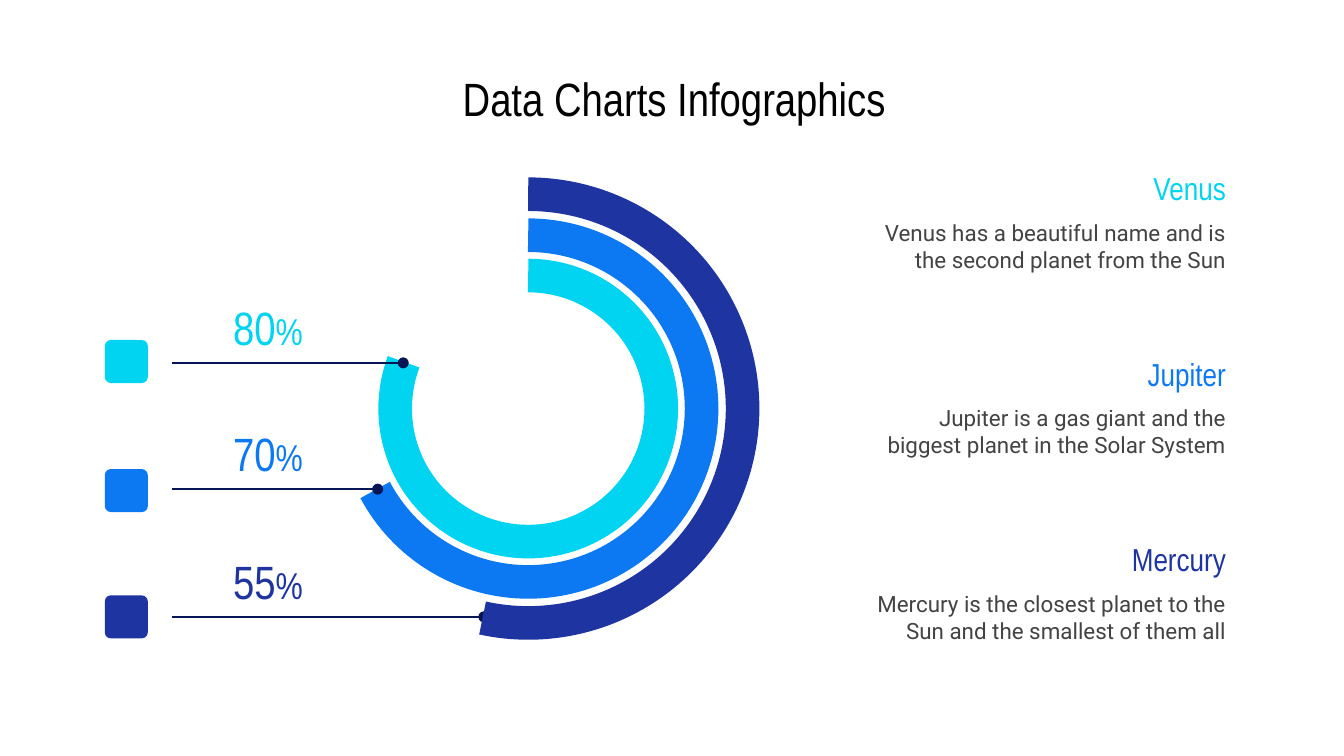
import pptx
import pptx.util
import pptx.dml.color
import pptx.enum.shapes
import pptx.enum.text
import pptx.oxml.ns
import lxml.etree

Inches = pptx.util.Inches
Pt = pptx.util.Pt
RGBColor = pptx.dml.color.RGBColor
MSO_SHAPE = pptx.enum.shapes.MSO_SHAPE
PP_ALIGN = pptx.enum.text.PP_ALIGN
qn = pptx.oxml.ns.qn

CYAN = RGBColor(0x00, 0xD4, 0xF0)
BLUE = RGBColor(0x0C, 0x79, 0xF3)
INDIGO = RGBColor(0x1E, 0x35, 0xA1)
NAVY = RGBColor(0x07, 0x15, 0x54)
GRAY = RGBColor(0x43, 0x43, 0x43)
BLACK = RGBColor(0x00, 0x00, 0x00)

presentation = pptx.Presentation()
presentation.slide_width = Inches(10)
presentation.slide_height = Inches(10 * 9 / 16)
slide = presentation.slides.add_slide(presentation.slide_layouts[6])


def add_text(text, left, top, width, height, size, color,
             font="Arial Narrow", align=PP_ALIGN.CENTER, unit="", unit_size=20):
    box = slide.shapes.add_textbox(Inches(left), Inches(top), Inches(width), Inches(height))
    frame = box.text_frame
    frame.word_wrap = True
    frame.vertical_anchor = pptx.enum.text.MSO_ANCHOR.MIDDLE
    frame.margin_left = frame.margin_right = Inches(0.1)
    frame.margin_top = frame.margin_bottom = Inches(0.1)
    paragraph = frame.paragraphs[0]
    paragraph.alignment = align
    for part, part_size in ((text, size), (unit, unit_size)):
        if part:
            run = paragraph.add_run()
            run.text = part
            run.font.name = font
            run.font.size = Pt(part_size)
            run.font.color.rgb = color


def add_leader(end, y):
    leader = slide.shapes.add_connector(
        pptx.enum.shapes.MSO_CONNECTOR.STRAIGHT,
        Inches(1.28), Inches(y), Inches(end), Inches(y))
    leader.line.color.rgb = NAVY
    leader.line.width = Pt(0.75)
    properties = leader.element.spPr
    lxml.etree.SubElement(properties.find(qn("a:ln")), qn("a:tailEnd"), type="oval")
    lxml.etree.SubElement(properties, qn("a:effectLst"))


CENTER_X, CENTER_Y = 3.93, 3.04
rings = [
    ("55", INDIGO, 3.19, 61.37, 4.59, 3.6, 4.43, True),
    ("70", BLUE, 2.58, 91.19, 3.64, 2.81, 3.49, False),
    ("80", CYAN, 1.98, 120.34, 2.7, 3, 2.53, False),
]
for percent, color, diameter, end_angle, leader_y, leader_end, icon_top, leader_behind in rings:
    if leader_behind:
        add_leader(leader_end, leader_y)
    ring = slide.shapes.add_shape(
        MSO_SHAPE.ARC, Inches(CENTER_X - diameter / 2), Inches(CENTER_Y - diameter / 2),
        Inches(diameter), Inches(diameter))
    ring.adjustments[0] = 162
    ring.adjustments[1] = end_angle
    ring.shadow.inherit = False
    ring.fill.background()
    ring.line.color.rgb = color
    ring.line.width = Pt(18)
    if not leader_behind:
        add_leader(leader_end, leader_y)
    add_text(percent, 1.28, leader_y - 0.45, 1.43, 0.36, size=25, color=color, unit="%")

    icon = slide.shapes.add_shape(
        MSO_SHAPE.ROUNDED_RECTANGLE, Inches(0.78), Inches(icon_top), Inches(0.32), Inches(0.32))
    icon.adjustments[0] = 0.14
    icon.shadow.inherit = False
    icon.fill.solid()
    icon.fill.fore_color.rgb = color
    icon.line.fill.background()

add_text("Data Charts Infographics", 0.53, 0.46, 8.97, 0.53, size=25, color=BLACK)

planets = [
    ("Venus", CYAN, "Venus has a beautiful name and is the second planet from the Sun"),
    ("Jupiter", BLUE, "Jupiter is a gas giant and the biggest planet in the Solar System"),
    ("Mercury", INDIGO, "Mercury is the closest planet to the Sun and the smallest of them all"),
]
for index, (name, color, description) in enumerate(planets):
    top = 1.25 + 1.38 * index
    add_text(description, 6.3, top + 0.27, 2.92, 0.62, size=12, color=GRAY,
             font="Roboto", align=PP_ALIGN.RIGHT)
    add_text(name, 6.3, top, 2.92, 0.3, size=17, color=color, align=PP_ALIGN.RIGHT)

presentation.save("out.pptx")
